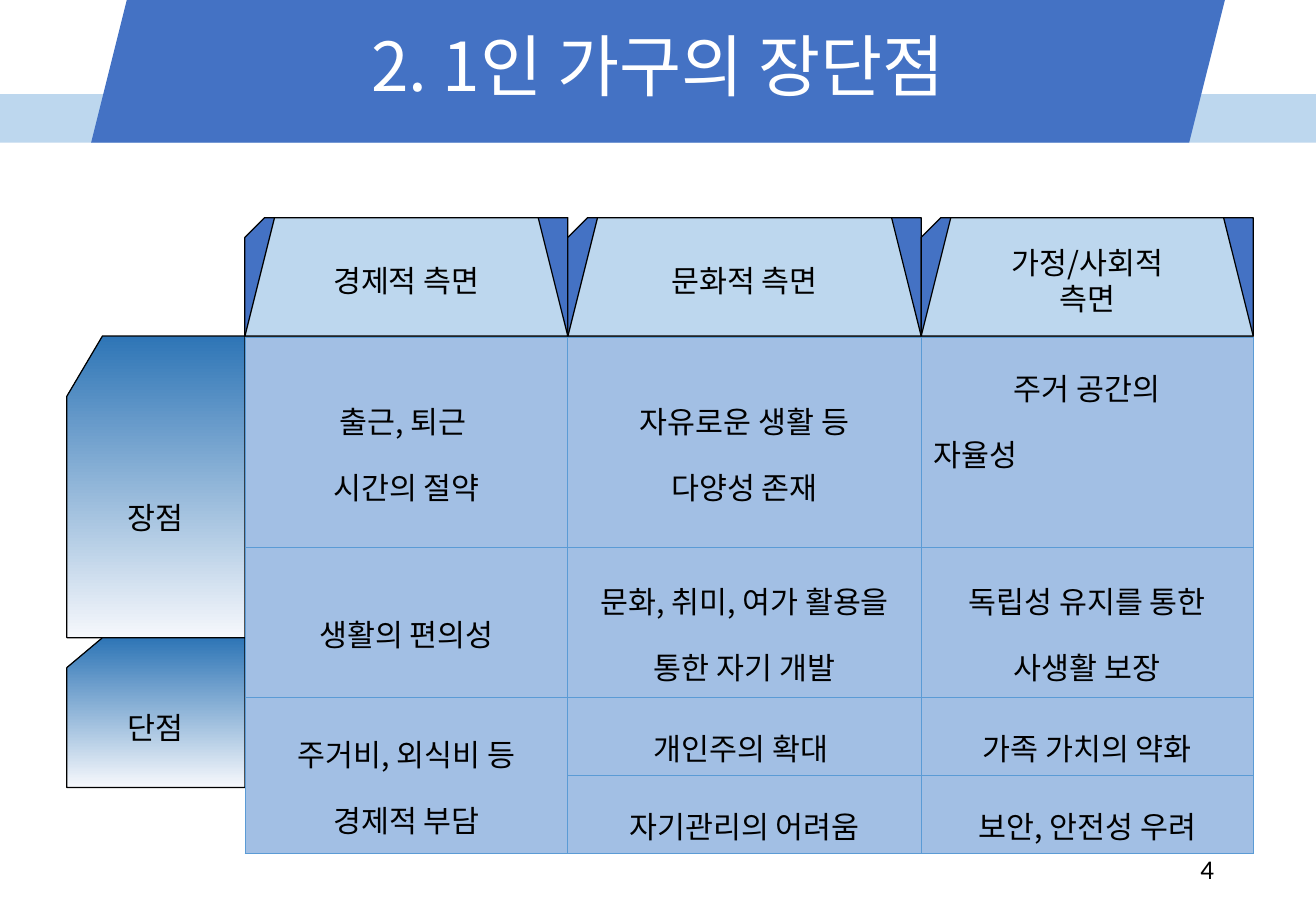
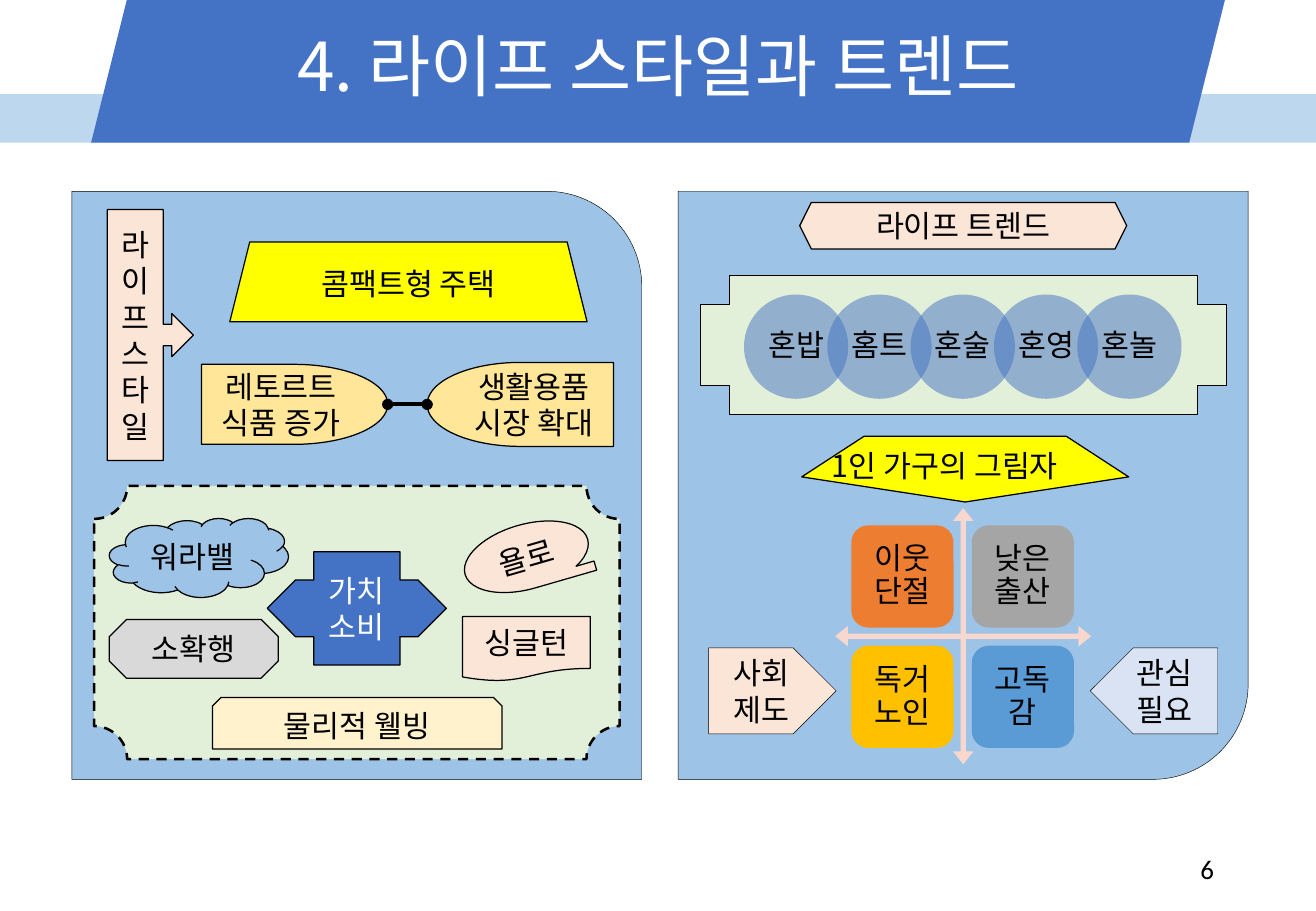
import pptx
import pptx.dml.color
import pptx.enum.dml
import pptx.enum.shapes
import pptx.enum.text
import pptx.oxml.ns
import pptx.util
from lxml import etree

KIND = pptx.enum.shapes.MSO_SHAPE
ALIGN = pptx.enum.text.PP_ALIGN
ANCHOR = pptx.enum.text.MSO_ANCHOR
PT = pptx.util.Pt
RGB = pptx.dml.color.RGBColor.from_string
QN = pptx.oxml.ns.qn

# The slide is a grid of 130 columns and 90 rows.
COLS, ROWS, CELL = 130, 90, PT(6)
BAND = 14.1

BLACK, WHITE = RGB("000000"), RGB("FFFFFF")
BLUE, PALE, SKY = RGB("4472C4"), RGB("BDD7EE"), RGB("9DC3E6")
DEEP, MIST = RGB("2E75B6"), RGB("F6F8FC")
BODY, RULE = RGB("A2BFE4"), RGB("5B9BD5")
MINT, PEACH, ROSE = RGB("E2F0D9"), RGB("FBE5D6"), RGB("F8D7CE")
CREAM, SAND, YELLOW = RGB("FFF2CC"), RGB("FFE699"), RGB("FFFF00")
ORANGE, GRAY, GOLD = RGB("ED7D31"), RGB("A5A5A5"), RGB("FFC000")
SILVER, LILAC = RGB("D9D9D9"), RGB("DAE3F3")

KOREAN = "Noto Sans CJK KR"
PLAIN = {"size": PT(18), "name": KOREAN}
HEAD = {"size": PT(40), "name": KOREAN}
NUMBER = {"size": PT(16), "name": "Calibri"}


def span(*cells):
    return [int(cell * CELL) for cell in cells]


def style(item, looks):
    for name, value in looks.items():
        setattr(item, name, value)


def write(frame, text, ink=BLACK, font=PLAIN, align=ALIGN.CENTER, lead=None):
    """Fill a text frame, one paragraph a line."""
    frame.word_wrap = True
    for i, line in enumerate(text.split("\n")):
        par = frame.add_paragraph() if i else frame.paragraphs[0]
        style(par, {"alignment": align, "line_spacing": lead})
        run = par.add_run()
        run.text = line
        style(run.font, font)
        run.font.color.rgb = ink
        east = etree.SubElement(run.font._element, QN("a:ea"))
        east.set("typeface", font["name"])


def label(board, place, text, anchor=ANCHOR.MIDDLE, **looks):
    frame = board.add_textbox(*span(*place)).text_frame
    frame.vertical_anchor = anchor
    write(frame, text, **looks)


def draw(board, kind, place, fill, text="", line=0.75, flip="", adj=(),
         pad=None, **looks):
    """Add a preset shape; a pair of colours gives a downward gradient."""
    shape = board.add_shape(kind, *span(*place))
    shape.shadow.inherit = False
    for i, value in enumerate(adj):
        shape.adjustments[i] = value
    if isinstance(fill, list):
        shape.fill.gradient()
        shape.fill.gradient_angle = 270
        for stop, tone in zip(shape.fill.gradient_stops, fill):
            stop.color.rgb = tone
    else:
        shape.fill.solid()
        shape.fill.fore_color.rgb = fill
    if line:
        shape.line.color.rgb = BLACK
        shape.line.width = PT(line)
    else:
        shape.line.fill.background()
    for axis in flip:
        shape._element.spPr.find(QN("a:xfrm")).set("flip" + axis, "1")
    if text:
        frame = shape.text_frame
        frame.vertical_anchor = ANCHOR.MIDDLE
        if pad:
            sides = ("left", "right", "top", "bottom")
            style(frame, {"margin_" + side: PT(pad) for side in sides})
        write(frame, text, **looks)
    return shape


def fade(shape, share):
    tone = shape._element.spPr.find(QN("a:solidFill")).find(QN("a:srgbClr"))
    etree.SubElement(tone, QN("a:alpha")).set("val", str(share * 1000))


def link(board, left, end):
    """Join the right side of a shape to a point with a round-ended line."""
    line = board.add_connector(pptx.enum.shapes.MSO_CONNECTOR.STRAIGHT,
                               *span(*end, *end))
    line.begin_connect(left, 3)
    style(line.line, {"width": PT(2.25)})
    line.line.color.rgb = BLACK
    for tag in ("a:headEnd", "a:tailEnd"):
        etree.SubElement(line.line._ln, QN(tag)).set("type", "oval")
    etree.SubElement(line._element.spPr, QN("a:effectLst"))


def border(cell):
    for side in "LRTB":
        edge = etree.SubElement(cell._tc.get_or_add_tcPr(), QN("a:ln" + side))
        edge.set("w", str(PT(0.5)))
        fill = etree.SubElement(edge, QN("a:solidFill"))
        etree.SubElement(fill, QN("a:srgbClr")).set("val", str(RULE))


def grid(board, left, top, wide, high, rows):
    """Add a table; None marks a cell merged into the one above."""
    place = span(left, top, sum(wide), sum(high))
    table = board.add_table(len(high), len(wide), *place).table
    style(table, {"first_row": False, "horz_banding": False})
    for col, width in zip(table.columns, span(*wide)):
        col.width = width
    for row, height in zip(table.rows, span(*high)):
        row.height = height
    for r, texts in enumerate(rows):
        for c, text in enumerate(texts):
            cell = table.cell(r, c)
            border(cell)
            cell.fill.solid()
            cell.fill.fore_color.rgb = BODY
            cell.vertical_anchor = ANCHOR.MIDDLE
            if text is None:
                table.cell(r - 1, c).merge(cell)
            else:
                write(cell.text_frame, text, lead=1.5)
    return table


def start(deck, title, number):
    """Add a slide with the bands, title and page number."""
    board = deck.slides.add_slide(deck.slide_layouts[6]).shapes
    draw(board, KIND.RECTANGLE, (0, 9.3, COLS, BAND - 9.3), PALE, line=0)
    draw(board, KIND.PARALLELOGRAM, (9, 0, 112, BAND), BLUE, line=0)
    label(board, (0, -0.1, COLS, 14), title, ink=WHITE, font=HEAD, lead=0.9)
    label(board, (91.8, 83.4, 29.3, 4.8), number, font=NUMBER,
          align=ALIGN.RIGHT)
    return board


def pros(deck):
    board = start(deck, "2. 1인 가구의 장단점", "4")
    left, top, wide = 24.2, 33.2, (31.9, 34.9, 32.8)
    side, row = 6.6, top
    for text, high in (("장점", 29.8), ("단점", 14.8)):
        draw(board, KIND.FLOWCHART_CARD, (side, row, left - side, high),
             [DEEP, MIST], text)
        row += high
    heads = ("경제적 측면", "문화적 측면", "가정/사회적\n측면")
    for i, (text, width) in enumerate(zip(heads, wide)):
        place = (left + sum(wide[:i]), 21.5, width, top - 21.5)
        draw(board, KIND.SNIP_1_RECTANGLE, place, BLUE, flip="H")
        draw(board, KIND.TRAPEZOID, place, PALE, text)
    table = grid(board, left, top + 0.1, wide, (20.8, 14.8, 7.7, 7.7), [
        ("출근, 퇴근 \n시간의 절약", "자유로운 생활 등\n다양성 존재",
         "주거 공간의\n자율성"),
        ("생활의 편의성", "문화, 취미, 여가 활용을\n통한 자기 개발",
         "독립성 유지를 통한\n사생활 보장"),
        ("주거비, 외식비 등\n경제적 부담", "개인주의 확대 ",
         "가족 가치의 약화"),
        (None, "자기관리의 어려움", "보안, 안전성 우려"),
    ])
    home = table.cell(0, 2)
    home.vertical_anchor = ANCHOR.TOP
    home.text_frame.paragraphs[1].alignment = ALIGN.LEFT


def panel(board, left, flip):
    draw(board, KIND.SNIP_ROUND_RECTANGLE, (left, 18.9, 56.3, 58.1), SKY,
         line=0.25, flip=flip, adj=(0.167, 0))


def living(board):
    panel(board, 7.1, "H")
    draw(board, KIND.RIGHT_ARROW_CALLOUT, (10.6, 20.7, 8.5, 24.8), PEACH,
         "라이프스타일")
    frame = draw(board, KIND.PLAQUE, (9.3, 48, 51.9, 27), MINT, line=1.5,
                 adj=(0.121,))
    frame.line.dash_style = pptx.enum.dml.MSO_LINE.DASH
    draw(board, KIND.FLOWCHART_DELAY, (42.2, 35.8, 18.4, 8.3), SAND,
         "생활용품시장 확대", flip="H")
    food = draw(board, KIND.FLOWCHART_DELAY, (19.9, 36, 18.4, 7.9), SAND,
                "레토르트 식품 증가")
    draw(board, KIND.CLOUD, (10.8, 51.2, 17.7, 7.8), SKY, "워라밸")
    draw(board, KIND.LEFT_RIGHT_ARROW_CALLOUT, (26.4, 54.5, 17.7, 11.2), BLUE,
         "가치소비", adj=(0.5, 0.25, 0.25, 0.481), ink=WHITE)
    tape = draw(board, KIND.FLOWCHART_SEQUENTIAL_ACCESS_STORAGE,
                (45.7, 51.8, 12.6, 6.4), PEACH, "욜로")
    tape.rotation = 343.9
    draw(board, KIND.OCTAGON, (10.8, 61.2, 16.7, 5.8), SILVER, "소확행",
         flip="H")
    draw(board, KIND.SNIP_2_SAME_RECTANGLE, (21, 68.9, 28.6, 5.1), CREAM,
         "물리적 웰빙", flip="H")
    draw(board, KIND.TRAPEZOID, (22.7, 23.9, 35.3, 7.9), YELLOW,
         "콤팩트형 주택")
    link(board, food, (42.2, 39.95))
    draw(board, KIND.FLOWCHART_DOCUMENT, (45.7, 60.9, 12.6, 6.4), PEACH,
         "싱글턴")


def trends(board):
    panel(board, 67, "HV")
    draw(board, KIND.CROSS, (69.2, 27.2, 51.9, 13.7), MINT, line=0.25,
         adj=(0.209,))
    draw(board, KIND.REGULAR_PENTAGON, (79.2, 43.1, 32.3, 6.5), YELLOW,
         flip="V")
    for i, text in enumerate(("혼밥", "홈트", "혼술", "혼영", "혼놀")):
        disc = draw(board, KIND.OVAL, (73.5 + 8.23 * i, 29.1, 10.3, 10.3),
                    BLUE, text, line=0, pad=3, lead=0.9)
        fade(disc, 50)
    draw(board, KIND.QUAD_ARROW, (82.5, 50.2, 25.3, 25.3), ROSE, line=0,
         adj=(0.02, 0.04, 0.05))
    shades = (("이웃단절", ORANGE), ("낮은출산", GRAY),
              ("독거노인", GOLD), ("고독감", RULE))
    for i, (text, fill) in enumerate(shades):
        row, col = divmod(i, 2)
        place = (84.1 + 11.9 * col, 51.9 + 11.9 * row, 10.1, 10.1)
        draw(board, KIND.ROUNDED_RECTANGLE, place, fill, text, line=0, pad=5,
             lead=0.9)
    for left, fill, text, flip in ((70, PEACH, "사회제도", ""),
                                   (107.7, LILAC, "관심 필요", "H")):
        draw(board, KIND.PENTAGON, (left, 64, 12.6, 8.5), fill, text,
             line=0.25, flip=flip)
    draw(board, KIND.HEXAGON, (79, 20, 32.3, 4.6), PEACH, "라이프 트렌드")
    label(board, (81, 43.6, 28.2, 4.8), "1인 가구의 그림자", ANCHOR.TOP,
          align=ALIGN.LEFT)


def main():
    deck = pptx.Presentation()
    deck.slide_width, deck.slide_height = span(COLS, ROWS)
    pros(deck)
    board = start(deck, "4. 라이프 스타일과 트렌드", "6")
    for fill in (living, trends):
        fill(board.add_group_shape().shapes)
    deck.save("out.pptx")


if __name__ == "__main__":
    main()
